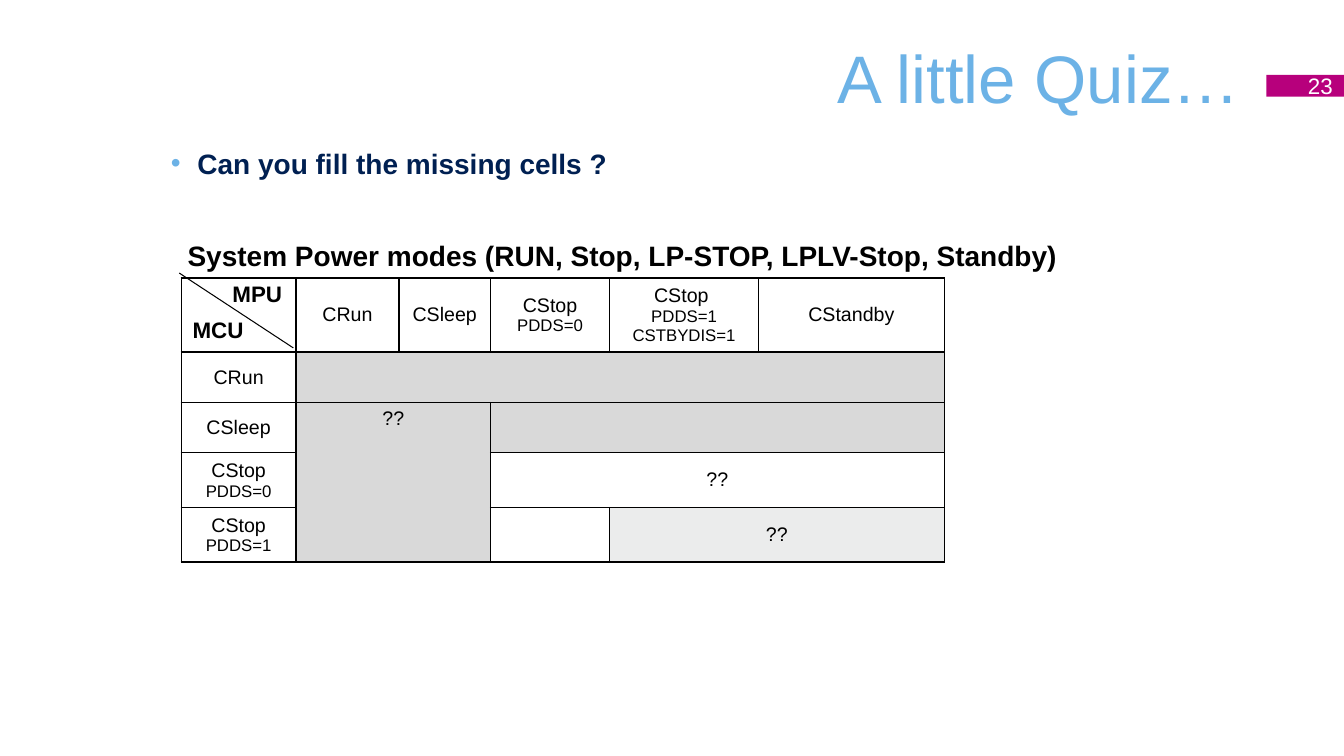
from dataclasses import dataclass
from itertools import product

from lxml.etree import SubElement
from pptx import Presentation
from pptx.dml.color import RGBColor
from pptx.enum.shapes import MSO_CONNECTOR, MSO_SHAPE
from pptx.enum.text import MSO_ANCHOR, PP_ALIGN
from pptx.oxml.ns import qn
from pptx.util import Pt


@dataclass(frozen=True)
class Theme:
    font: str = "Arial"
    title: str = "6CB2E6"
    accent: str = "B7007C"
    question: str = "002052"
    ink: str = "000000"
    white: str = "FFFFFF"
    run_mode: str = "D9D9D9"
    standby_mode: str = "EBECEC"
    title_size: int = 48
    body_size: int = 20
    label_size: int = 16
    cell_size: int = 14
    detail_size: int = 12


@dataclass(frozen=True)
class Region:
    """A block of table cells that shares one fill, outline and text."""
    row: int
    column: int
    paragraphs: tuple = ()
    rows: int = 1
    columns: int = 1
    fill: str = Theme.white
    edges: str = "LRTB"
    anchor: MSO_ANCHOR = MSO_ANCHOR.MIDDLE


THEME = Theme()
NO_GRID_STYLE = "{2D5ABB26-0587-4C30-8999-92F81FD0307C}"
COLUMN_WIDTHS = (82, 73.5, 65.5, 85, 106.5, 132.5)
ROW_HEIGHTS = (53, 36, 36, 39, 39)

# Each paragraph is a tuple of runs; runs with "=" are register settings.
MPU_MODES = (
    (),
    (("CRun",),),
    (("CSleep",),),
    (("CStop",), ("PDDS=0",)),
    (("CStop ",), ("PDDS=1 CSTBYDIS=1",)),
    (("CStandby",),),
)
MCU_MODES = (
    (("CRun",),),
    (("CSleep",),),
    (("CStop ", "PDDS=0"),),
    (("CStop ", "PDDS=1"),),
)
UNKNOWN = (("??",),)
ANSWER_REGIONS = (
    Region(1, 1, columns=5, fill=THEME.run_mode, edges="LRT"),
    Region(2, 1, UNKNOWN, 3, 2, THEME.run_mode, "LB", MSO_ANCHOR.TOP),
    Region(2, 3, columns=3, fill=THEME.run_mode, edges="RB"),
    Region(3, 3, UNKNOWN, columns=3, edges="LRT"),
    Region(4, 3, edges="LRB"),
    Region(4, 4, UNKNOWN, columns=2, fill=THEME.standby_mode),
)


def format_runs(paragraph, size, color, bold=False):
    for run in paragraph.runs:
        run.font.name = THEME.font
        run.font.size = Pt(size)
        run.font.bold = bold
        run.font.color.rgb = RGBColor.from_string(color)


def set_margins(text_frame, horizontal, vertical):
    text_frame.margin_left = text_frame.margin_right = Pt(horizontal)
    text_frame.margin_top = text_frame.margin_bottom = Pt(vertical)


def add_text(slide, box, text, size, color, alignment, bold=False, margins=(7.2, 3.6)):
    text_frame = slide.shapes.add_textbox(*map(Pt, box)).text_frame
    text_frame.word_wrap = True
    set_margins(text_frame, *margins)
    text_frame.text = text
    for paragraph in text_frame.paragraphs:
        paragraph.alignment = alignment
        format_runs(paragraph, size, color, bold)
    return text_frame


def add_title(slide):
    text_frame = add_text(slide, (48, 9.5, 847.5, 90), "A little Quiz…", THEME.title_size,
                          THEME.title, PP_ALIGN.RIGHT, margins=(9.5, 5))
    text_frame.vertical_anchor = MSO_ANCHOR.MIDDLE


def add_page_number(slide):
    shape = slide.shapes.add_shape(MSO_SHAPE.RECTANGLE, Pt(904.5), Pt(53.5), Pt(55.5), Pt(15.5))
    shape.shadow.inherit = False
    shape.fill.solid()
    shape.fill.fore_color.rgb = RGBColor.from_string(THEME.accent)
    shape.line.fill.background()
    text_frame = shape.text_frame
    text_frame.word_wrap = False
    text_frame.vertical_anchor = MSO_ANCHOR.MIDDLE
    set_margins(text_frame, 8, 5)
    text_frame.text = "23"
    text_frame.paragraphs[0].alignment = PP_ALIGN.RIGHT
    format_runs(text_frame.paragraphs[0], THEME.label_size, THEME.white)


def add_bullet(paragraph, color, text_indent, hanging):
    properties = paragraph._p.get_or_add_pPr()
    properties.set("marL", str(Pt(text_indent)))
    properties.set("indent", str(-Pt(hanging)))
    bullet_color = SubElement(properties, qn("a:buClr"))
    SubElement(bullet_color, qn("a:srgbClr"), val=color)
    SubElement(properties, qn("a:buFont"), typeface=THEME.font)
    SubElement(properties, qn("a:buChar"), char="•")


def add_question(slide):
    text = ("Can you fill the missing cells ?\n"
            "System Power modes (RUN, Stop, LP-STOP, LPLV-Stop, Standby)")
    text_frame = add_text(slide, (75.5, 99.5, 873, 110), text, THEME.body_size,
                          THEME.question, PP_ALIGN.LEFT, True, (9.5, 5))
    question, heading = text_frame.paragraphs
    question.space_after = Pt(8)
    add_bullet(question, THEME.title, 56, 19)
    heading.space_before = Pt(34)
    heading._p.get_or_add_pPr().set("marL", str(Pt(49)))
    format_runs(heading, THEME.body_size, THEME.ink, True)


def add_cell_edges(cell, edges):
    properties = cell._tc.get_or_add_tcPr()
    for edge in edges:
        line = SubElement(properties, qn(f"a:ln{edge}"), w=str(Pt(1)))
        fill = SubElement(line, qn("a:solidFill"))
        SubElement(fill, qn("a:srgbClr"), val=THEME.ink)


def write_cell(cell, paragraphs):
    text_frame = cell.text_frame
    for index, runs in enumerate(paragraphs):
        paragraph = text_frame.add_paragraph() if index else text_frame.paragraphs[0]
        paragraph.alignment = PP_ALIGN.CENTER
        for text in runs:
            paragraph.add_run().text = text
        format_runs(paragraph, THEME.cell_size, THEME.ink)
        for run in paragraph.runs:
            if "=" in run.text:
                run.font.size = Pt(THEME.detail_size)


def fill_region(table, region):
    last_row = region.row + region.rows - 1
    last_column = region.column + region.columns - 1
    origin = table.cell(region.row, region.column)
    if region.rows * region.columns > 1:
        origin.merge(table.cell(last_row, last_column))
    for row, column in product(range(region.row, last_row + 1),
                               range(region.column, last_column + 1)):
        cell = table.cell(row, column)
        add_cell_edges(cell, region.edges)
        cell.fill.solid()
        cell.fill.fore_color.rgb = RGBColor.from_string(region.fill)
    origin.vertical_anchor = region.anchor
    write_cell(origin, region.paragraphs)


def add_mode_table(slide):
    frame = slide.shapes.add_table(len(ROW_HEIGHTS), len(COLUMN_WIDTHS), Pt(129.5), Pt(198.5),
                                   Pt(sum(COLUMN_WIDTHS)), Pt(sum(ROW_HEIGHTS)))
    table = frame.table
    table.first_row = table.horz_banding = False
    table._tbl.tblPr.find(qn("a:tableStyleId")).text = NO_GRID_STYLE
    for column, width in zip(table.columns, COLUMN_WIDTHS):
        column.width = Pt(width)
    for row, height in zip(table.rows, ROW_HEIGHTS):
        row.height = Pt(height)
    headers = [Region(0, column, mode) for column, mode in enumerate(MPU_MODES)]
    headers += [Region(row, 0, mode) for row, mode in enumerate(MCU_MODES, 1)]
    for region in (*headers, *ANSWER_REGIONS):
        fill_region(table, region)


def add_corner_labels(slide):
    diagonal = slide.shapes.add_connector(MSO_CONNECTOR.STRAIGHT, Pt(128), Pt(195),
                                          Pt(209.5), Pt(248.5))
    diagonal.line.color.rgb = RGBColor.from_string(THEME.ink)
    diagonal.line.width = Pt(0.75)
    SubElement(diagonal._element.spPr, qn("a:effectLst"))
    for text, left, top in (("MPU", 157, 196.5), ("MCU", 129, 222)):
        add_text(slide, (left, top, 53.5, 26.5), text, THEME.label_size, THEME.ink,
                 PP_ALIGN.CENTER, True)


def main():
    presentation = Presentation()
    presentation.slide_width, presentation.slide_height = Pt(960), Pt(540)
    slide = presentation.slides.add_slide(presentation.slide_layouts[6])
    add_title(slide)
    add_page_number(slide)
    add_question(slide)
    add_mode_table(slide)
    add_corner_labels(slide)
    presentation.save("out.pptx")


if __name__ == "__main__":
    main()
